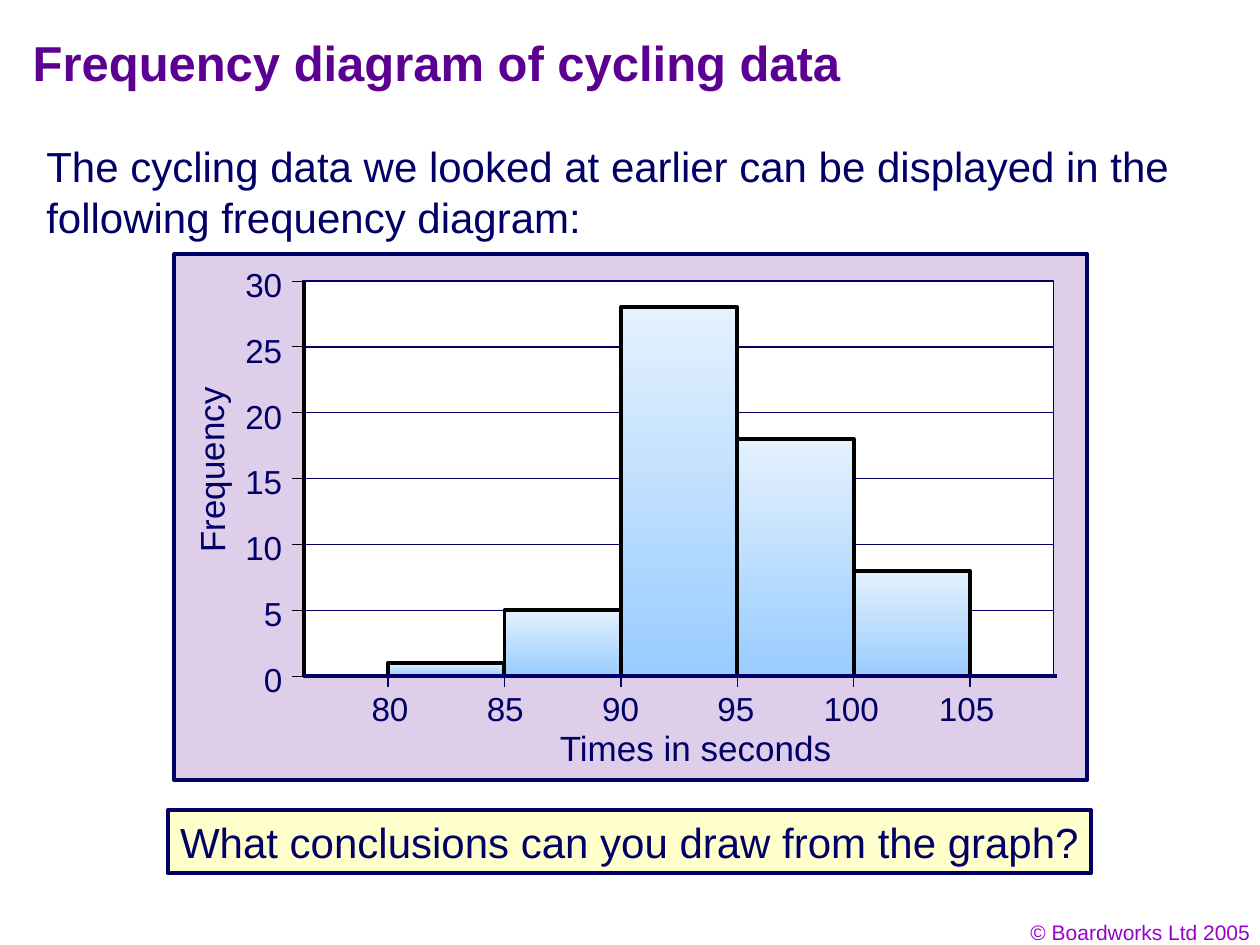
from lxml.etree import SubElement
from pptx import Presentation
from pptx.dml.color import RGBColor
from pptx.enum.shapes import MSO_CONNECTOR, MSO_SHAPE
from pptx.enum.text import MSO_ANCHOR, PP_ALIGN
from pptx.oxml.ns import qn
from pptx.util import Pt

NAVY = RGBColor(0x00, 0x00, 0x66)
BLACK = RGBColor(0x00, 0x00, 0x00)
WHITE = RGBColor(0xFF, 0xFF, 0xFF)
PURPLE = RGBColor(0x5B, 0x00, 0x91)
VIOLET = RGBColor(0x99, 0x00, 0xCC)
LILAC = RGBColor(0xDF, 0xCE, 0xEA)
CREAM = RGBColor(0xFF, 0xFF, 0xCC)
BAR_TOP = RGBColor(0xE4, 0xF1, 0xFE)
BAR_BOTTOM = RGBColor(0x99, 0xCC, 0xFF)


class SlideBuilder:
    font = "Arial"

    def __init__(self, slide):
        self.s = slide

    def _write(self, tf, text, size, color, align, bold=False):
        tf.text = text
        p = tf.paragraphs[0]
        p.alignment = align
        p.font.name, p.font.size, p.font.bold = self.font, Pt(size), bold
        p.font.color.rgb = color

    def title(self, text, x, y, w, h):
        sp = self.s.shapes.title
        sp.left, sp.top, sp.width, sp.height = Pt(x), Pt(y), Pt(w), Pt(h)
        sp.text_frame.vertical_anchor = MSO_ANCHOR.MIDDLE
        self._write(sp.text_frame, text, 28, PURPLE, PP_ALIGN.LEFT, True)

    def text(self, text, x, y, w, h, size, color=NAVY, align=PP_ALIGN.LEFT,
             wrap=False, inset=True, rotation=0):
        sp = self.s.shapes.add_textbox(Pt(x), Pt(y), Pt(w), Pt(h))
        sp.rotation = rotation
        tf = sp.text_frame
        tf.word_wrap = wrap
        if not inset:
            tf.margin_left = tf.margin_right = tf.margin_top = tf.margin_bottom = 0
        self._write(tf, text, size, color, align)

    def rect(self, x, y, w, h, fill, line=NAVY, weight=2.25):
        sp = self.s.shapes.add_shape(MSO_SHAPE.RECTANGLE, Pt(x), Pt(y), Pt(w), Pt(h))
        sp.shadow.inherit = False
        sp.fill.solid()
        sp.fill.fore_color.rgb = fill
        sp.line.color.rgb, sp.line.width = line, Pt(weight)
        return sp

    def bar(self, x, y, w, h):
        sp = self.rect(x, y, w, h, BAR_BOTTOM, BLACK)
        sp.fill.gradient()
        sp.fill.gradient_angle = 270
        for stop, position, color in zip(sp.fill.gradient_stops, (0, 1), (BAR_TOP, BAR_BOTTOM)):
            stop.position, stop.color.rgb = position, color

    def callout(self, text, x, y, w, h):
        tf = self.rect(x, y, w, h, CREAM).text_frame
        tf.word_wrap = False
        self._write(tf, text, 24, NAVY, PP_ALIGN.CENTER)

    def line(self, x1, y1, x2, y2, color, weight):
        sp = self.s.shapes.add_connector(MSO_CONNECTOR.STRAIGHT, Pt(x1), Pt(y1), Pt(x2), Pt(y2))
        sp.line.color.rgb, sp.line.width = color, Pt(weight)
        SubElement(sp._element.spPr, qn("a:effectLst"))


def draw_histogram(b):
    left, top, base, width = 173, 160.6, 386.3, 429
    unit = (base - top) / 30
    first_x, bar_w = 221.8, 66.5
    label_x, label_step = 222.8, 65.9
    classes = range(80, 106, 5)
    frequencies = [1, 5, 28, 18, 8]

    # Panel, class ticks and white bands between gridlines
    b.rect(99.4, 145.4, 522, 300.2, LILAC)
    for i in range(len(classes)):
        x = first_x + i * bar_w
        b.line(x, 381, x, 392.4, NAVY, 0.75)
    for value in range(5, 31, 5):
        b.rect(left, base - value * unit, width, 5 * unit, WHITE, NAVY, 0.75)

    # Bars
    for i, value in enumerate(frequencies):
        b.bar(first_x + i * bar_w, base - value * unit, bar_w, value * unit)

    # Frequency axis
    b.line(173.5, top, 173.5, base, BLACK, 2.25)
    for value in range(0, 31, 5):
        y = base - value * unit
        b.line(167, y, 173.5, y, BLACK, 0.5)
        b.text(str(value), 131.3, y - 9.6, 30, 23, 19, align=PP_ALIGN.RIGHT, inset=False)
    b.text("Frequency", 64.8, 251.3, 111.6, 31.7, 20, wrap=True, rotation=269.5)

    # Time axis
    for i, value in enumerate(classes):
        b.text(str(value), label_x + i * label_step - 23, 389.5, 46, 30, 19,
               align=PP_ALIGN.CENTER)
    b.text("Times in seconds", 312.5, 411.8, 170, 31.7, 20, align=PP_ALIGN.CENTER)
    b.line(left, base, 604, base, NAVY, 2.25)


def main():
    prs = Presentation()
    prs.slide_width, prs.slide_height = Pt(720), Pt(540)
    b = SlideBuilder(prs.slides.add_slide(prs.slide_layouts[5]))

    # Heading, introduction and copyright line
    b.text("© Boardworks Ltd 2005", 553.7, 522, 167.8, 21.6, 12, VIOLET,
           PP_ALIGN.RIGHT, wrap=True)
    b.title("Frequency diagram of cycling data", 11.5, 11.5, 612, 48.2)
    b.text("The cycling data we looked at earlier can be displayed in the "
           "following frequency diagram:", 19.4, 77, 676, 64.8, 24, wrap=True)

    draw_histogram(b)

    # Closing question
    b.callout("What conclusions can you draw from the graph?", 95.8, 463, 527.8, 36)
    prs.save("out.pptx")


if __name__ == "__main__":
    main()
